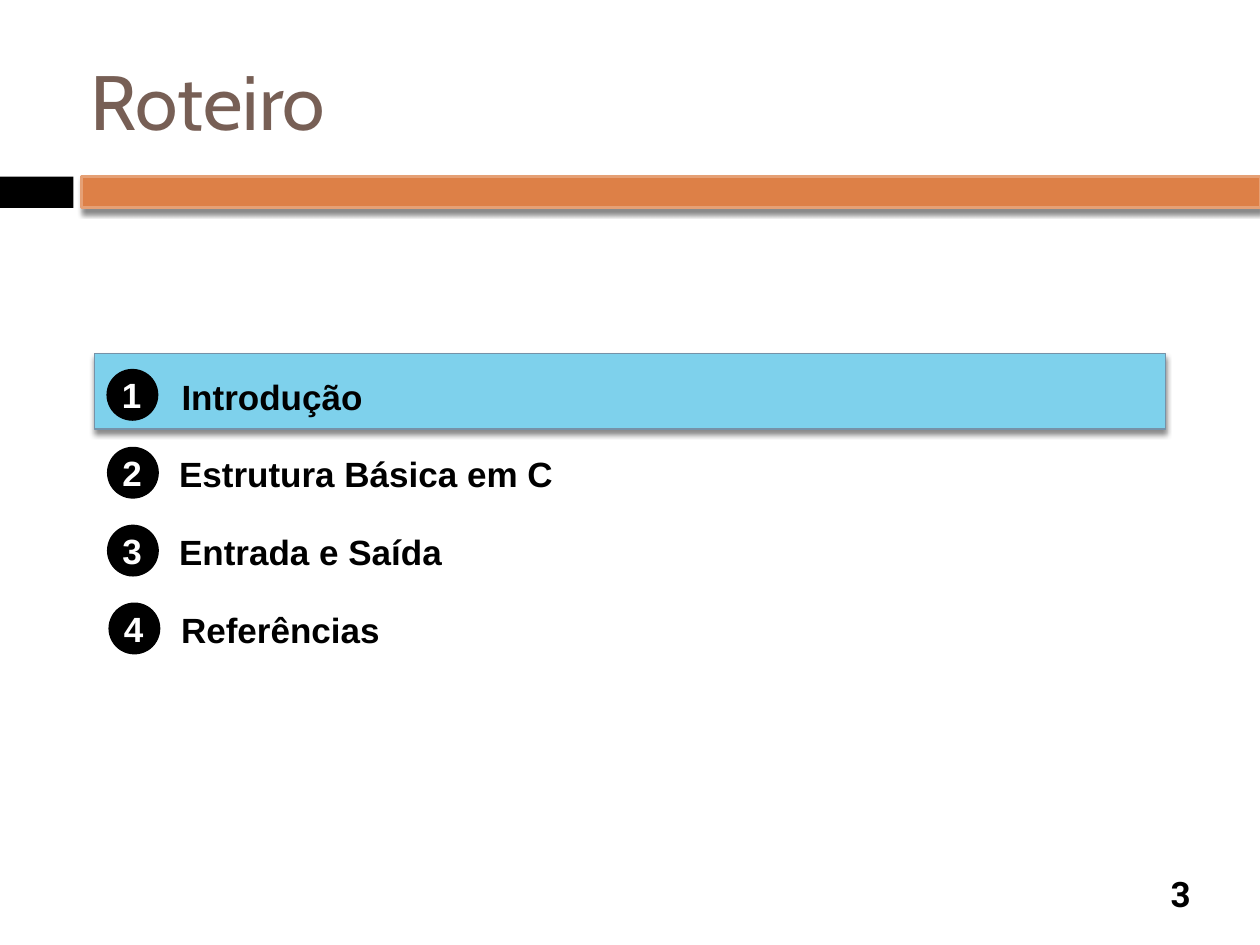
from lxml import etree
from pptx import Presentation
from pptx.dml.color import RGBColor
from pptx.enum import shapes, text
from pptx.oxml import ns
from pptx.util import Cm, Pt

TITLE = "Roteiro"
PAGE_NUMBER = "3"
# Topic, badge left, label left and label width in cm
TOPICS = [
    ("Introdução", 2.16, 3.53, 3.95),
    ("Estrutura Básica em C", 2.17, 3.48, 7.83),
    ("Entrada e Saída", 2.17, 3.48, 5.6),
    ("Referências", 2.2, 3.52, 4.3),
]
FIRST_TOP, PITCH = 7.43, 1.57
BADGE, LINE_HEIGHT = 1.02, 1.04

THEME = {
    "black": "000000", "white": "FFFFFF", "title": "775F55",
    "bar": "DD8047", "bar_edge": "E5A075",
    "highlight": "7ED1EC", "highlight_edge": "7692A8",
    "title_size": 44, "body_size": 20,
    "title_font": "Cabin", "body_font": "Arial", "number_font": "Roboto",
}


def color(name):
    return RGBColor.from_string(THEME[name])


def add_shadow(shape):
    effects = shape._element.spPr.find(ns.qn("a:effectLst"))
    shadow = etree.SubElement(
        effects, ns.qn("a:outerShdw"), blurRad=str(Pt(3)), dist=str(Pt(2.4)),
        dir="5400000", algn="ctr", rotWithShape="0")
    tint = etree.SubElement(shadow, ns.qn("a:srgbClr"), val=THEME["black"])
    etree.SubElement(tint, ns.qn("a:alpha"), val="45000")


def add_block(parent, kind, box, fill, edge=None, width=0.75, shadow=False):
    shape = parent.shapes.add_shape(kind, *map(Cm, box))
    shape.shadow.inherit = False
    shape.fill.solid()
    shape.fill.fore_color.rgb = color(fill)
    if edge:
        shape.line.color.rgb = color(edge)
        shape.line.width = Pt(width)
    else:
        shape.line.fill.background()
    if shadow:
        add_shadow(shape)
    return shape


def write(shape, words, font, size, ink, bold=True, align=text.PP_ALIGN.LEFT,
          anchor=text.MSO_ANCHOR.MIDDLE, wrap=True):
    frame = shape.text_frame
    frame.text = words
    frame.word_wrap = wrap
    frame.auto_size = (text.MSO_AUTO_SIZE.NONE if wrap
                       else text.MSO_AUTO_SIZE.SHAPE_TO_FIT_TEXT)
    frame.vertical_anchor = anchor
    frame.margin_left = frame.margin_right = Cm(0.13)
    frame.margin_top = frame.margin_bottom = Cm(0.13)
    para = frame.paragraphs[0]
    para.alignment = align
    span = para.runs[0]
    span.font.name = THEME[font]
    span.font.size = Pt(THEME[size])
    span.font.bold = bold
    span.font.color.rgb = color(ink)


def add_text(parent, box, words, font="body_font", ink="black", **style):
    shape = parent.shapes.add_textbox(*map(Cm, box))
    write(shape, words, font, "body_size", ink, **style)


def add_topic(page, index, topic, badge_left, label_left, label_width):
    top = FIRST_TOP + index * PITCH
    badge = page.shapes.add_group_shape()
    add_block(badge, shapes.MSO_SHAPE.OVAL,
              (badge_left, top + 0.02, BADGE, BADGE), "black", "black")
    add_text(badge, (badge_left + 0.15, top, 0.69, LINE_HEIGHT), str(index + 1),
             ink="white", align=text.PP_ALIGN.CENTER, wrap=False)
    label_top = top + 0.02 if index == 0 else top
    add_text(page, (label_left, label_top, label_width, LINE_HEIGHT),
             topic, anchor=text.MSO_ANCHOR.TOP, wrap=False)


def main():
    deck = Presentation()
    deck.slide_width, deck.slide_height = Cm(25.4), Cm(19.05)
    page = deck.slides.add_slide(deck.slide_layouts[5])

    title = page.shapes.title
    title.left, title.top, title.width, title.height = map(
        Cm, (1.7, 0.64, 23.3, 2.74))
    write(title, TITLE, "title_font", "title_size", "title", bold=False)

    rectangle = shapes.MSO_SHAPE.RECTANGLE
    add_block(page, rectangle, (0, 3.56, 1.48, 0.63), "black")
    add_block(page, rectangle, (1.65, 3.56, 23.75, 0.63), "bar", "bar_edge",
              width=1.5, shadow=True)
    highlight = add_block(page, shapes.MSO_SHAPE.ROUNDED_RECTANGLE,
                          (1.91, 7.13, 21.59, 1.52), "highlight",
                          "highlight_edge", width=0.79, shadow=True)
    highlight.adjustments[0] = 0

    for index, topic in enumerate(TOPICS):
        add_topic(page, index, *topic)

    add_text(page, (23.06, 17.5, 1.48, LINE_HEIGHT), PAGE_NUMBER,
             font="number_font", align=text.PP_ALIGN.CENTER)
    deck.save("out.pptx")


if __name__ == "__main__":
    main()
